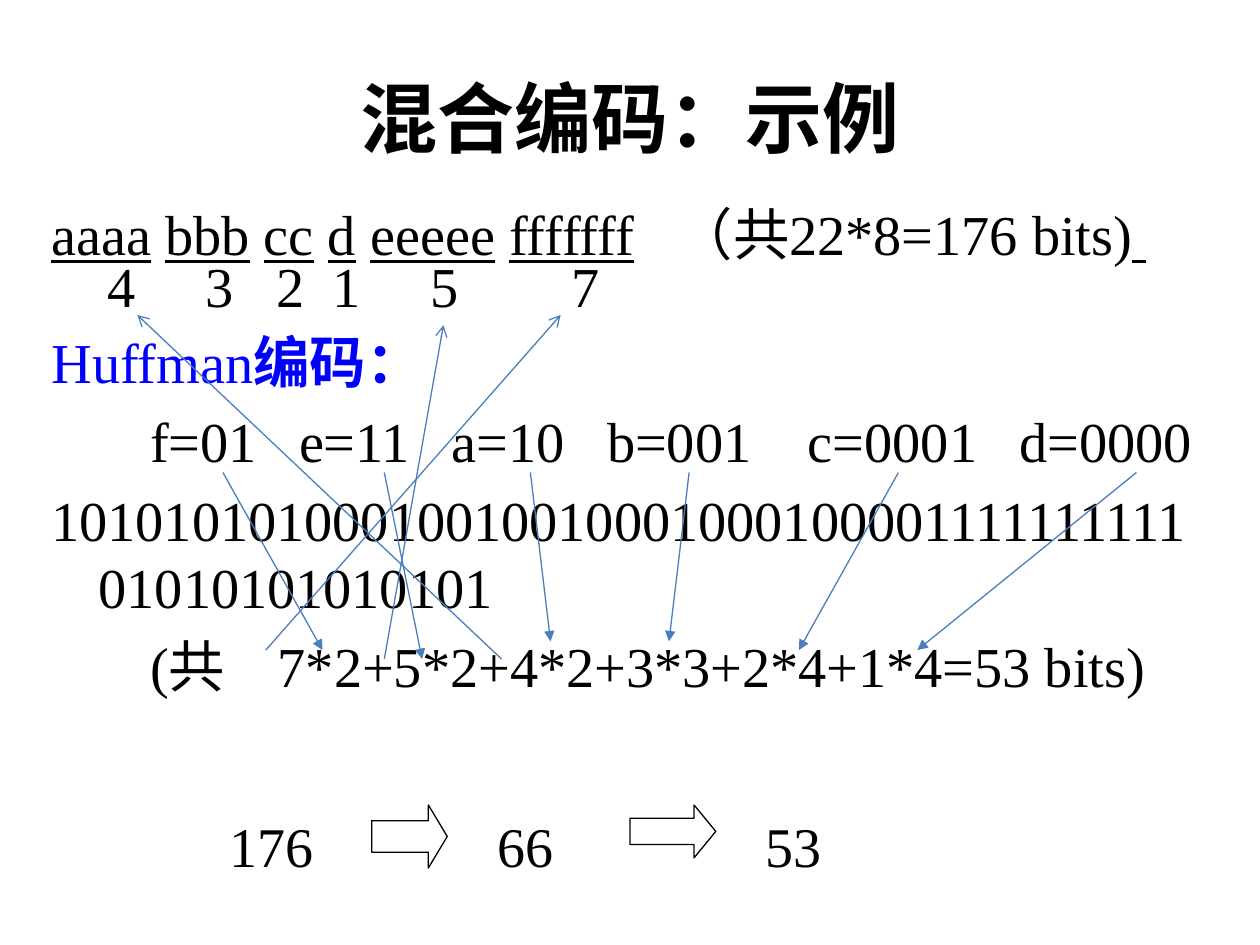
from lxml.etree import SubElement
from pptx import Presentation
from pptx.dml.color import RGBColor
from pptx.enum.shapes import MSO_CONNECTOR, MSO_SHAPE
from pptx.enum.text import MSO_ANCHOR, PP_ALIGN
from pptx.oxml.ns import qn
from pptx.util import Pt

BLACK = RGBColor(0x00, 0x00, 0x00)
BLUE = RGBColor(0x00, 0x00, 0xFF)
ARROW_BLUE = RGBColor(0x4B, 0x7E, 0xBC)
FONT = "Times New Roman"


def style(run, size, color=BLACK, bold=False):
    run.font.name = FONT
    run.font.size = Pt(size)
    run.font.bold = bold
    run.font.color.rgb = color


def add_tabs(paragraph, stops):
    tabs = SubElement(paragraph._p.get_or_add_pPr(), qn("a:tabLst"))
    for stop in stops:
        SubElement(tabs, qn("a:tab"), pos=str(Pt(stop)), algn="l")


prs = Presentation()
prs.slide_width, prs.slide_height = Pt(720), Pt(540)
slide = prs.slides.add_slide(prs.slide_layouts[5])

# Title
title = slide.shapes.title
title.left, title.top, title.width, title.height = Pt(36), Pt(21.6), Pt(648), Pt(90)
title.text_frame.text = "混合编码：示例"
title.text_frame.vertical_anchor = MSO_ANCHOR.MIDDLE
title.text_frame.paragraphs[0].alignment = PP_ALIGN.CENTER
style(title.text_frame.paragraphs[0].runs[0], 44, bold=True)

# Worked example: runs as (text, underlined, color, bold), then tab stops
letters = []
for group in ("aaaa", "bbb", "cc", "d", "eeeee", "fffffff"):
    letters += [(group, True, BLACK, False), (" ", False, BLACK, False)]
letters[-1] = ("\t（共22*8=176 bits)", False, BLACK, False)
letters.append((" ", True, BLACK, False))

steps = [
    (letters, [357.4]),
    ([("\t4\t3\t2\t1\t5\t7", False, BLACK, False)],
     [32.3, 88.3, 128.9, 160.9, 216.9, 297.4]),
    ([("Huffman", False, BLUE, False), ("编码：", False, BLUE, True)], []),
    ([("\tf=01\te=11\ta=10\tb=001\tc=0001\td=0000", False, BLACK, False)],
     [56.4, 141.5, 228.8, 317.5, 432.3, 553]),
    ([("1010101010001001001000100010000111111111101010101010101",
       False, BLACK, False)], []),
    ([("\t(共\t7*2+5*2+4*2+3*3+2*4+1*4=53 bits)", False, BLACK, False)],
     [56.4, 129.4]),
]
example = slide.shapes.add_textbox(Pt(22.3), Pt(123.8), Pt(666.7), Pt(298)).text_frame
example.word_wrap = True
for number, (parts, stops) in enumerate(steps):
    line = example.add_paragraph() if number else example.paragraphs[0]
    line.space_before = Pt(6.5)
    if number < 2:
        line.line_spacing = 0.6
    if stops:
        add_tabs(line, stops)
    else:
        # Hanging indent for lines that may wrap
        properties = line._p.get_or_add_pPr()
        properties.set("marL", str(Pt(27)))
        properties.set("indent", str(Pt(-27)))
    for text, underlined, color, bold in parts:
        run = line.add_run()
        run.text = text
        style(run, 32.2, color, bold)
        run.font.underline = underlined

# Size in bits after each coding
for left, width, bits in ((115.9, 90, 176), (269.3, 78, 66), (422.6, 78, 53)):
    total = slide.shapes.add_textbox(Pt(left), Pt(460), Pt(width), Pt(46)).text_frame
    total.word_wrap = True
    total.text = f" {bits}"
    total.paragraphs[0].space_before = Pt(16)
    style(total.paragraphs[0].runs[0], 32)

for left, width, height, head in ((212.4, 43.2, 36, 0.3), (360, 49, 30.2, 0.41)):
    step_arrow = slide.shapes.add_shape(
        MSO_SHAPE.RIGHT_ARROW, Pt(left), Pt(460), Pt(width), Pt(height))
    step_arrow.adjustments[1] = head
    step_arrow.shadow.inherit = False
    step_arrow.fill.background()
    step_arrow.line.color.rgb = BLACK
    step_arrow.line.width = Pt(0.75)

# Links: sum terms up to run lengths, codes down to sum terms
links = [
    (151.9, 371.5, 320.4, 180, "arrow"),
    (219.6, 376.6, 253.4, 185.8, "arrow"),
    (286.6, 376.6, 78.5, 180, "arrow"),
    (127.4, 270, 184.3, 371.5, "triangle"),
    (219.6, 270, 241.2, 376.6, "triangle"),
    (303.1, 270, 314.6, 366.5, "triangle"),
    (393.8, 270, 382.3, 366.5, "triangle"),
    (513.4, 270, 456.5, 371.5, "triangle"),
    (649.4, 270, 524.2, 371.5, "triangle"),
]
for x1, y1, x2, y2, head in links:
    link = slide.shapes.add_connector(
        MSO_CONNECTOR.STRAIGHT, Pt(x1), Pt(y1), Pt(x2), Pt(y2))
    link.line.color.rgb = ARROW_BLUE
    link.line.width = Pt(0.75)
    SubElement(link.line._get_or_add_ln(), qn("a:tailEnd"), type=head)
    SubElement(link._element.spPr, qn("a:effectLst"))

prs.save("out.pptx")
